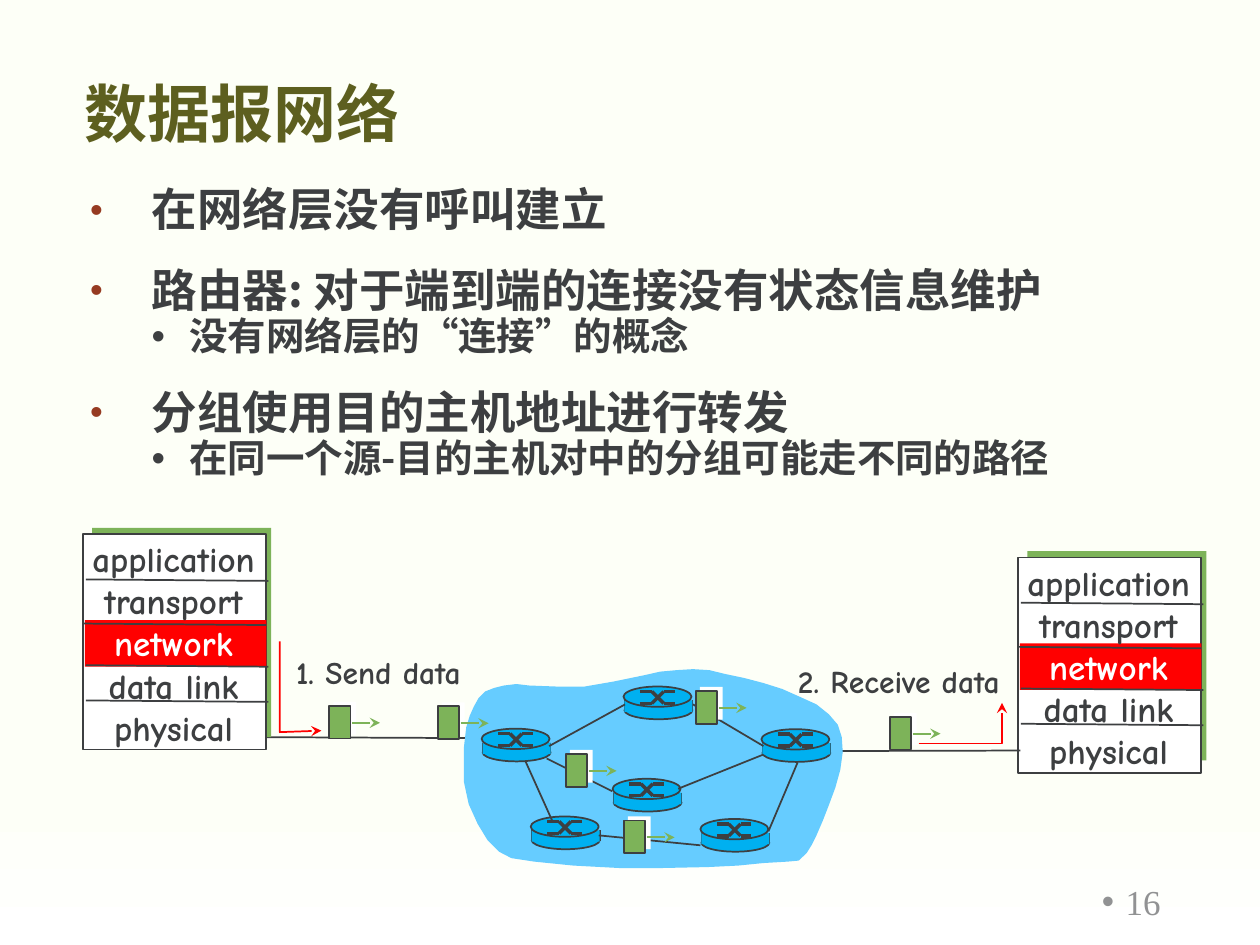
"""Build the slide that explains datagram networks."""
from dataclasses import dataclass
from itertools import pairwise

from lxml.etree import SubElement
from pptx import Presentation
from pptx.dml.color import RGBColor
from pptx.enum.shapes import MSO_CONNECTOR, MSO_SHAPE
from pptx.enum.text import MSO_ANCHOR, PP_ALIGN
from pptx.oxml.ns import qn
from pptx.util import Cm, Pt


@dataclass(frozen=True)
class Theme:
    ink: str = "3D3F41"
    title: str = "5D5F1F"
    bullet: str = "963B22"
    page_number: str = "919293"
    paper: str = "FDFFF7"
    white: str = "FFFFFF"
    green: str = "7DB359"
    red: str = "FF0000"
    cloud: str = "66CCFF"
    router: str = "00B0F0"
    title_font: str = "Arial"
    body_font: str = "Noto Sans CJK SC"
    diagram_font: str = "Comic Neue"
    number_font: str = "Times New Roman"
    title_size: int = 36
    body_size: int = 26
    detail_size: int = 22
    layer_size: int = 20
    label_size: int = 18
    thin: int = 1
    thick: int = 2


def apply_formats(target, formats):
    for name, value in formats.items():
        setattr(target, name, value)


class SlideBuilder:
    def __init__(self, slide, theme):
        self.slide = slide
        self.theme = theme

    def style(self, shape, fill=None, line=None):
        shape.shadow.inherit = False
        if fill:
            shape.fill.solid()
            shape.fill.fore_color.rgb = RGBColor.from_string(fill)
        else:
            shape.fill.background()
        if line:
            self.stroke(shape, line, self.theme.thin)
        else:
            shape.line.fill.background()

    def stroke(self, shape, color, width, arrow=False):
        shape.line.color.rgb = RGBColor.from_string(color)
        shape.line.width = Pt(width)
        if arrow:
            SubElement(shape.line._get_or_add_ln(), qn("a:tailEnd"), type="stealth")

    def shape(self, kind, left, top, width, height, fill, line=None):
        shape = self.slide.shapes.add_shape(kind, Cm(left), Cm(top), Cm(width), Cm(height))
        self.style(shape, fill, line)
        return shape

    def line(self, start, end, color=None, width=None, arrow=False):
        points = [Cm(value) for value in (*start, *end)]
        connector = self.slide.shapes.add_connector(MSO_CONNECTOR.STRAIGHT, *points)
        self.stroke(connector, color or self.theme.ink, width or self.theme.thin, arrow)
        SubElement(connector._element.spPr, qn("a:effectLst"))

    def outline(self, points, fill=None, close=True):
        (left, top), *others = [(Cm(x), Cm(y)) for x, y in points]
        builder = self.slide.shapes.build_freeform(left, top)
        builder.add_line_segments(others, close=close)
        shape = builder.convert_to_shape()
        self.style(shape, fill)
        return shape

    def elbow_arrow(self, points):
        shape = self.outline(points, close=False)
        self.stroke(shape, self.theme.red, self.theme.thin, arrow=True)

    def text_frame(self, left, top, width, height, **formats):
        box = self.slide.shapes.add_textbox(Cm(left), Cm(top), Cm(width), Cm(height))
        apply_formats(box.text_frame, {"word_wrap": True, **formats})
        return box.text_frame

    def paragraph(self, frame, text, font, size, color, bold=True, **formats):
        paragraph = frame.paragraphs[0]
        if paragraph.runs:
            paragraph = frame.add_paragraph()
        apply_formats(paragraph, formats)
        run = paragraph.add_run()
        run.text = text
        apply_formats(run.font, {"name": font, "size": Pt(size), "bold": bold})
        run.font.color.rgb = RGBColor.from_string(color)
        SubElement(run._r.get_or_add_rPr(), qn("a:ea"), typeface=font)
        return paragraph

    def bullet(self, paragraph, margin, hanging, color=None):
        properties = paragraph._p.get_or_add_pPr()
        properties.set("marL", str(Cm(margin)))
        properties.set("indent", str(-Cm(hanging)))
        if color:
            SubElement(SubElement(properties, qn("a:buClr")), qn("a:srgbClr"), val=color)
            SubElement(properties, qn("a:buSzPct"), val="80000")
        SubElement(properties, qn("a:buFont"), typeface="Arial")
        SubElement(properties, qn("a:buChar"), char="•")

    def background(self, width, height):
        shape = self.shape(MSO_SHAPE.RECTANGLE, 0, 0, width, height, self.theme.white)
        shape.fill.gradient()
        shape.fill.gradient_angle = 270
        stops = ((0.84, self.theme.paper), (1, self.theme.white))
        for stop, (position, color) in zip(shape.fill.gradient_stops, stops):
            stop.position = position
            stop.color.rgb = RGBColor.from_string(color)

    def body(self, items):
        theme = self.theme
        frame = self.text_frame(1.57, 3.66, 21.62, 6.32)
        for index, (level, text) in enumerate(items):
            size = theme.detail_size if level else theme.body_size
            space = Pt(18 if index and not level else 0)
            paragraph = self.paragraph(frame, text, theme.body_font, size, theme.ink, level=level,
                                       alignment=PP_ALIGN.JUSTIFY, line_spacing=0.9, space_before=space)
            if level:
                self.bullet(paragraph, 2, 0.76)
            else:
                self.bullet(paragraph, 1.24, 1.24, theme.bullet)

    def label(self, left, top, width, text):
        frame = self.text_frame(left, top, width, 1.02, word_wrap=False)
        self.paragraph(frame, text, self.theme.diagram_font, self.theme.label_size, self.theme.ink,
                       alignment=PP_ALIGN.CENTER)

    def protocol_stack(self, left, top, layers, active):
        theme, box = self.theme, MSO_SHAPE.RECTANGLE
        self.shape(box, left + 0.18, top - 0.13, 3.61, 4.22, theme.green)
        self.shape(box, left, top, 3.68, 4.34, theme.white, theme.ink)
        self.shape(box, left + 0.03, top + 1.73, 3.66, 0.94, theme.red)
        frame = self.text_frame(left - 0.35, top - 0.05, 4.34, 4.5)
        for layer in layers:
            color = theme.white if layer == active else theme.ink
            self.paragraph(frame, layer, theme.diagram_font, theme.layer_size, color,
                           alignment=PP_ALIGN.CENTER)
        for shift, drop in ((0.05, 0.91), (0, 1.8), (0.05, 2.64), (0.05, 3.35)):
            start = left + shift
            self.line((start, top + drop), (start + 3.68, top + drop + 0.03))

    def router(self, left, top):
        theme = self.theme
        self.shape(MSO_SHAPE.OVAL, left + 0.02, top + 0.3, 1.37, 0.36, theme.router, theme.ink)
        for side in (left + 0.02, left + 1.39):
            self.line((side, top + 0.28), (side, top + 0.49))
        self.shape(MSO_SHAPE.RECTANGLE, left + 0.02, top + 0.28, 1.37, 0.23, theme.router)
        self.shape(MSO_SHAPE.OVAL, left, top, 1.37, 0.41, theme.router, theme.ink)
        for first, last in ((0.1, 0.34), (0.34, 0.1)):
            strand = zip((0.33, 0.57, 0.81, 1.03), (first, first, last, last))
            points = [(left + x, top + y) for x, y in strand]
            for start, end in pairwise(points):
                self.line(start, end, width=theme.thick)

    def packet(self, left, top):
        theme, box = self.theme, MSO_SHAPE.RECTANGLE
        self.shape(box, left + 0.08, top - 0.08, 0.46, 0.66, theme.white)
        self.shape(box, left, top, 0.43, 0.66, theme.green, theme.ink)
        self.line((left + 0.46, top + 0.34), (left + 1.02, top + 0.34), theme.green, arrow=True)


BODY = ((0, "在网络层没有呼叫建立"), (0, "路由器: 对于端到端的连接没有状态信息维护"),
        (1, "没有网络层的“连接”的概念"), (0, "分组使用目的主机地址进行转发"),
        (1, "在同一个源-目的主机对中的分组可能走不同的路径"))
LAYERS = ("application", "transport", "network", "data link", "physical")
CLOUD = ((9.35, 15.52), (9.35, 15.09), (9.4, 14.66), (9.47, 14.43), (9.55, 14.25), (9.65, 14.07),
         (9.78, 13.94), (9.96, 13.87), (10.16, 13.82), (10.41, 13.79), (10.67, 13.82), (11.2, 13.84),
         (11.79, 13.84), (12.37, 13.74), (13, 13.61), (13.31, 13.54), (13.64, 13.51), (13.97, 13.49),
         (14.3, 13.51), (14.63, 13.59), (15.01, 13.67), (15.39, 13.77), (15.77, 13.89), (16.13, 14.05),
         (16.46, 14.2), (16.71, 14.4), (16.89, 14.61), (16.97, 14.86), (16.99, 15.16), (16.94, 15.52),
         (16.84, 15.88), (16.71, 16.23), (16.59, 16.54), (16.46, 16.84), (16.36, 17.04), (16.26, 17.2),
         (16.1, 17.35), (15.88, 17.37), (15.39, 17.4), (14.88, 17.45), (14.27, 17.48), (13.31, 17.5),
         (12.5, 17.5), (11.56, 17.45), (10.77, 17.37), (10.31, 17.3), (10.06, 17.17), (9.83, 16.94),
         (9.63, 16.61), (9.45, 16.21), (9.35, 15.75))
ROUTERS = ((9.71, 14.69), (10.7, 16.46), (12.57, 13.84), (12.35, 15.7), (14.12, 16.51), (15.35, 14.7))
LINKS = (((11.07, 15.04), (12.6, 14.2)), ((13.97, 14.2), (15.39, 15.04)),
         ((11.02, 15.29), (12.34, 15.95)), ((13.67, 15.9), (15.39, 15.21)),
         ((15.49, 16.76), (16.08, 15.37)), ((14.12, 17.04), (12.07, 16.84)),
         ((11.13, 16.54), (10.59, 15.34)))
PACKETS = ((6.64, 14.23), (8.83, 14.24), (14.03, 13.93), (12.58, 16.54), (11.41, 15.2), (17.94, 14.45))


def main():
    presentation = Presentation()
    apply_formats(presentation, {"slide_width": Cm(25.4), "slide_height": Cm(19.05)})
    theme = Theme()
    builder = SlideBuilder(presentation.slides.add_slide(presentation.slide_layouts[6]), theme)
    builder.background(25.4, 19.05)
    title = builder.text_frame(1.45, 0, 21.59, 3.18, vertical_anchor=MSO_ANCHOR.BOTTOM)
    builder.paragraph(title, "数据报网络", theme.title_font, theme.title_size, theme.title, line_spacing=0.9)
    builder.body(BODY)
    number = builder.text_frame(17.93, 17.66, 5.72, 1.02, vertical_anchor=MSO_ANCHOR.MIDDLE)
    paragraph = builder.paragraph(number, "16", theme.number_font, theme.layer_size, theme.page_number,
                                  bold=False, alignment=PP_ALIGN.RIGHT)
    builder.bullet(paragraph, 0.48, 0.48)
    builder.line((5.33, 14.86), (9.73, 14.88))
    for left, top in ((1.68, 10.77), (20.53, 11.24)):
        builder.protocol_stack(left, top, LAYERS, "network")
    builder.line((20.57, 15.13), (16.69, 15.14))
    builder.label(5.33, 13.03, 4.6, "1. Send data")
    builder.label(15.43, 13.22, 5.38, "2. Receive data")
    builder.elbow_arrow(((5.64, 12.93), (5.64, 14.76), (6.48, 14.73)))
    builder.elbow_arrow(((18.52, 14.99), (20.2, 14.99), (20.2, 14.17)))
    builder.outline(CLOUD, theme.cloud)
    for position in ROUTERS:
        builder.router(*position)
    for start, end in LINKS:
        builder.line(start, end)
    for position in PACKETS:
        builder.packet(*position)
    presentation.save("out.pptx")


if __name__ == "__main__":
    main()
